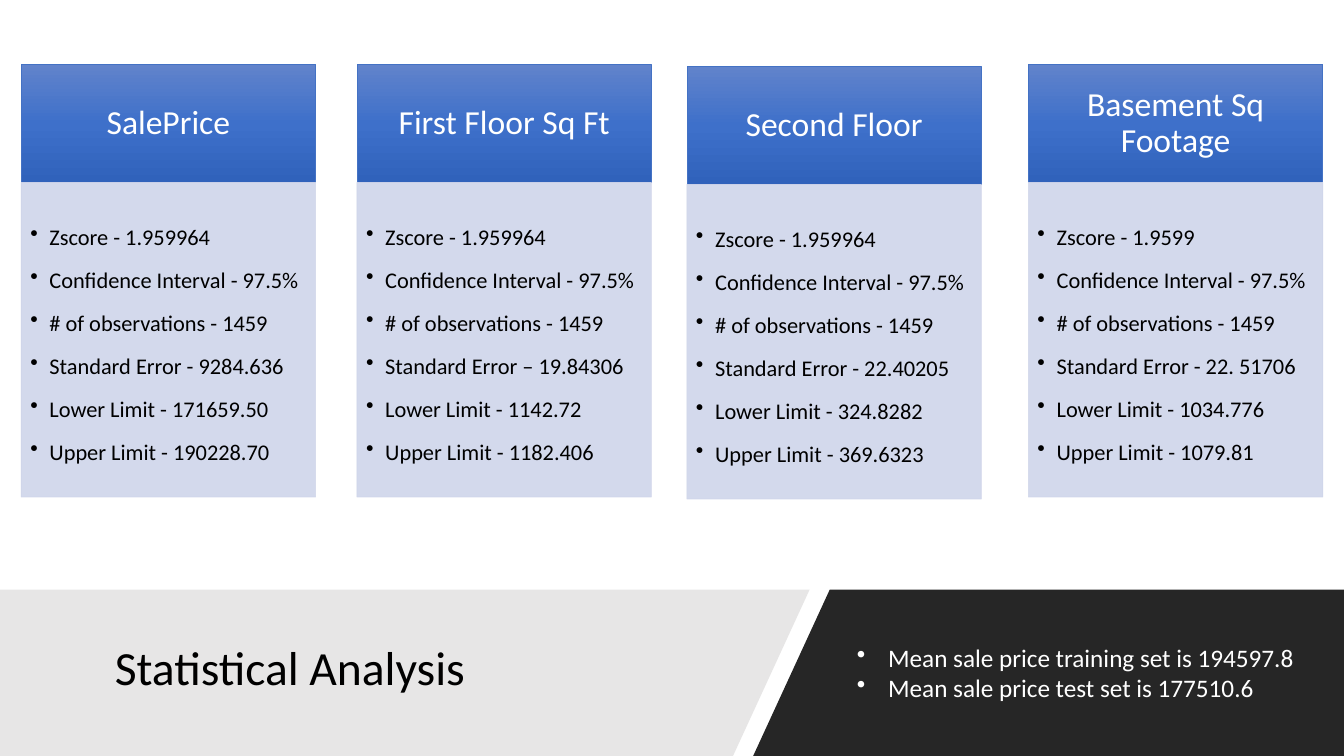
from copy import deepcopy
from dataclasses import dataclass

from lxml.etree import SubElement
from pptx import Presentation
from pptx.dml.color import RGBColor
from pptx.enum.shapes import MSO_SHAPE as Shape
from pptx.enum.text import MSO_ANCHOR as Anchor, MSO_AUTO_SIZE as AutoSize, PP_ALIGN as Align
from pptx.oxml.ns import qn
from pptx.util import Inches, Pt


@dataclass(frozen=True)
class Theme:
    font: str = "Calibri"
    black: str = "000000"
    white: str = "FFFFFF"
    band: str = "E7E6E6"
    header_line: str = "4472C4"
    header_stops: tuple = ((0, "6183CB"), (0.5, "3E70CA"), (1, "3062BB"))
    body: str = "CFD5EA"
    title_size: int = 34
    header_size: int = 24
    note_size: int = 18
    body_size: int = 16


def rgb(value):
    return RGBColor.from_string(value)


def paint(fill, color, opacity=100):
    fill.solid()
    fill.fore_color.rgb = rgb(color)
    if opacity < 100:
        for node in fill._xPr.iter(qn("a:srgbClr")):
            SubElement(node, qn("a:alpha"), val=str(opacity * 1000))


def write(frame, lines, font, size, color, align=Align.LEFT, anchor=Anchor.TOP,
          insets=(0.1, 0.05, 0.1, 0.05), spacing=1.0, after=0, indent=0):
    frame.word_wrap = True
    frame.vertical_anchor = anchor
    (frame.margin_left, frame.margin_top,
     frame.margin_right, frame.margin_bottom) = map(Inches, insets)
    for number, line in enumerate(lines):
        paragraph = frame.paragraphs[0] if number == 0 else frame.add_paragraph()
        paragraph.text = line
        if indent:
            properties = paragraph._p.get_or_add_pPr()
            properties.set("marL", str(Inches(indent)))
            properties.set("indent", str(-Inches(indent)))
            SubElement(properties, qn("a:buChar"), char="•")
        paragraph.alignment = align
        paragraph.line_spacing = spacing
        paragraph.space_after = Pt(after)
        paragraph.font.name = font
        paragraph.font.size = Pt(size)
        paragraph.font.color.rgb = rgb(color)


class SlideBuilder:
    def __init__(self, presentation, theme):
        self.theme = theme
        self.width = presentation.slide_width
        self.height = presentation.slide_height
        self.shapes = presentation.slides.add_slide(presentation.slide_layouts[6]).shapes

    def place(self, x, y):
        return round(self.width * x / 100), round(self.height * y / 100)

    def polygon(self, corners, color, opacity=100):
        start, *others = [self.place(*corner) for corner in corners]
        builder = self.shapes.build_freeform(*start)
        builder.add_line_segments(others, close=True)
        panel = builder.convert_to_shape()
        panel.shadow.inherit = False
        paint(panel.fill, color, opacity)
        panel.line.fill.background()

    def rectangle(self, left, top, width, height):
        block = self.shapes.add_shape(
            Shape.RECTANGLE, *self.place(left, top), *self.place(width, height))
        block.shadow.inherit = False
        block.line.width = Pt(0.5)
        return block

    def header(self, area, label):
        theme = self.theme
        block = self.rectangle(*area)
        block.fill.gradient()
        block.fill.gradient_angle = 270
        stop_list = block.element.spPr.find(".//" + qn("a:gsLst"))
        stop_list.append(deepcopy(stop_list[0]))
        for stop, (position, color) in zip(block.fill.gradient_stops, theme.header_stops):
            stop.position = position
            stop.color.rgb = rgb(color)
        paint(block.line.fill, theme.header_line)
        write(block.text_frame, [label], theme.font, theme.header_size, theme.white,
              align=Align.CENTER, anchor=Anchor.MIDDLE,
              insets=(0.19, 0.11, 0.19, 0.11), spacing=0.9)

    def body(self, area, facts):
        theme = self.theme
        block = self.rectangle(*area)
        paint(block.fill, theme.body, 90)
        paint(block.line.fill, theme.body, 90)
        write(block.text_frame, facts, theme.font, theme.body_size, theme.black,
              anchor=Anchor.MIDDLE, insets=(0.09, 0.09, 0.12, 0.14),
              spacing=1.5, after=2, indent=0.19)

    def card(self, left, top, label, facts):
        self.header((left, top, CARD_WIDTH, HEADER_HEIGHT), label)
        self.body((left, top + HEADER_HEIGHT, CARD_WIDTH, BODY_HEIGHT), facts)

    def text(self, area, lines, size, color, **style):
        left, top, width, height = area
        box = self.shapes.add_textbox(*self.place(left, top), *self.place(width, height))
        box.text_frame.auto_size = AutoSize.NONE
        write(box.text_frame, lines, self.theme.font, size, color, **style)


CARD_WIDTH, HEADER_HEIGHT, BODY_HEIGHT = 21.91, 15.6, 41.6
BAND_TOP = 78
FACT_NAMES = ("Zscore -", "Confidence Interval -", "# of observations -",
              "Standard Error -", "Lower Limit -", "Upper Limit -")
CARDS = (
    (1.58, 8.53, "SalePrice",
     ("1.959964", "97.5%", "1459", "9284.636", "171659.50", "190228.70")),
    (26.56, 8.53, "First Floor Sq Ft",
     ("1.959964", "97.5%", "1459", "19.84306", "1142.72", "1182.406")),
    (51.11, 8.8, "Second Floor",
     ("1.959964", "97.5%", "1459", "22.40205", "324.8282", "369.6323")),
    (76.52, 8.53, "Basement Sq Footage",
     ("1.9599", "97.5%", "1459", "22. 51706", "1034.776", "1079.81")),
)


def main():
    presentation = Presentation()
    presentation.slide_width = Inches(13.33)
    presentation.slide_height = Inches(7.5)
    theme = Theme()
    slide = SlideBuilder(presentation, theme)

    slide.polygon([(61.74, BAND_TOP), (100, BAND_TOP), (100, 100), (56.04, 100)],
                  theme.black, 85)
    slide.polygon([(0, BAND_TOP), (60.24, BAND_TOP), (54.54, 100), (0, 100)], theme.band)
    slide.text((7.8, 80.67, 46.74, 16), ["Statistical Analysis"],
               theme.title_size, theme.black, anchor=Anchor.MIDDLE, spacing=0.9)

    for left, top, label, values in CARDS:
        facts = [f"{name} {value}" for name, value in zip(FACT_NAMES, values)]
        if label == "First Floor Sq Ft":
            facts[3] = facts[3].replace("-", "–")
        slide.card(left, top, label, facts)

    slide.text((63.02, 84.27, 34.28, 9.47),
               ["Mean sale price training set is 194597.8",
                "Mean sale price test set is 177510.6"],
               theme.note_size, theme.white, indent=0.31)
    presentation.save("out.pptx")


if __name__ == "__main__":
    main()
